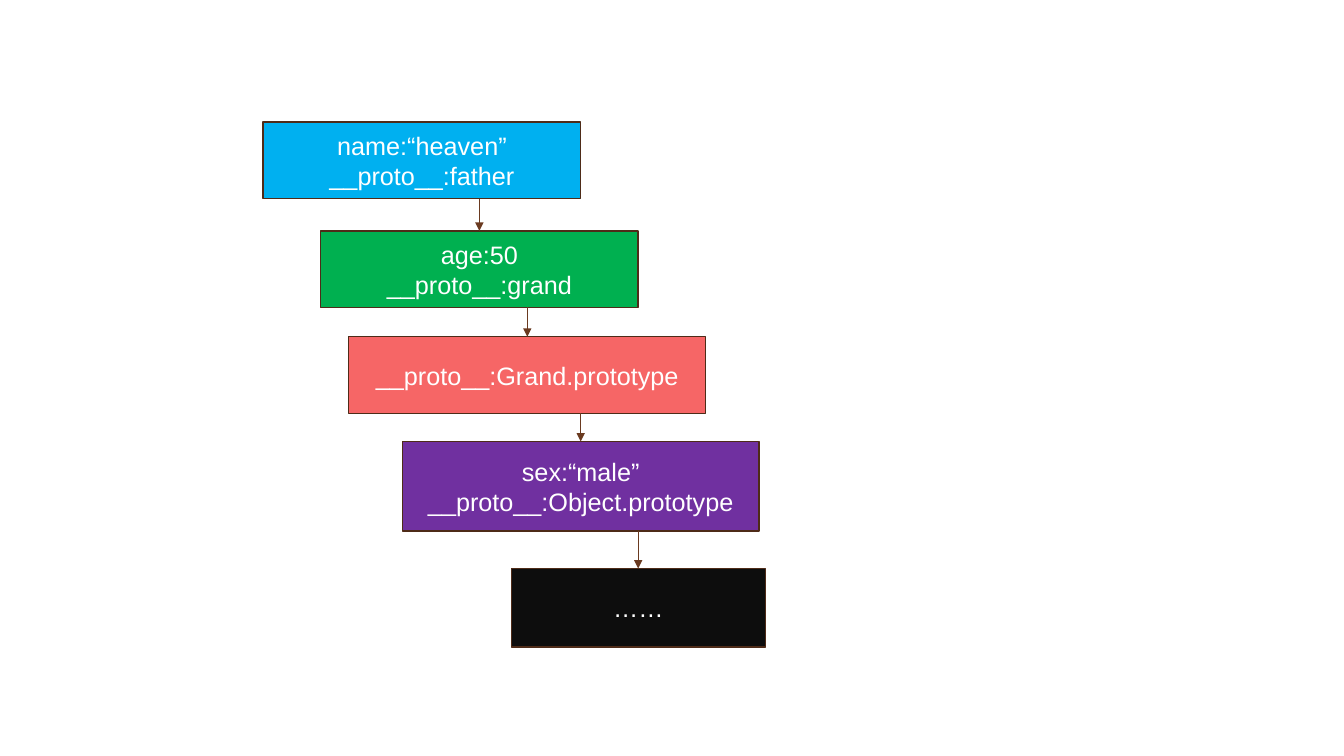
from dataclasses import dataclass

from lxml import etree
from pptx import Presentation
from pptx.dml.color import RGBColor
from pptx.enum.shapes import MSO_CONNECTOR, MSO_SHAPE
from pptx.enum.text import MSO_ANCHOR, PP_ALIGN
from pptx.oxml.ns import qn
from pptx.util import Inches, Pt

RECT = MSO_SHAPE.RECTANGLE
STRAIGHT = MSO_CONNECTOR.STRAIGHT
MIDDLE = MSO_ANCHOR.MIDDLE
CENTER = PP_ALIGN.CENTER


@dataclass(frozen=True)
class Theme:
    """Colours, font and sizes of the slide."""
    font: str = "Arial"
    size: float = 18
    text: str = "FFFFFF"
    border: str = "4E2B18"
    border_width: float = 1
    arrow: str = "6A3A20"
    arrow_width: float = 0.5
    blue: str = "00B0F0"
    green: str = "00B050"
    coral: str = "F66666"
    purple: str = "7030A0"
    black: str = "0D0D0D"


THEME = Theme()

CHAIN = [
    ((0, 0, 3.15, 0.76), THEME.blue, "name:“heaven”\n__proto__:father"),
    ((0.57, 1.08, 3.15, 0.76), THEME.green, "age:50\n__proto__:grand"),
    ((0.85, 2.13, 3.54, 0.76), THEME.coral, "__proto__:Grand.prototype"),
    ((1.38, 3.17, 3.54, 0.89), THEME.purple,
     "sex:“male”\n__proto__:Object.prototype"),
    ((2.46, 4.43, 2.52, 0.78), THEME.black, "……"),
]


def add_object_box(slide, box, fill, text):
    """Draw one object of the chain and return its shape."""
    sp = slide.shapes.add_shape(RECT, *map(Inches, box))
    sp.shadow.inherit = False
    sp.fill.solid()
    sp.fill.fore_color.rgb = RGBColor.from_string(fill)
    sp.line.color.rgb = RGBColor.from_string(THEME.border)
    sp.line.width = Pt(THEME.border_width)
    tf = sp.text_frame
    tf.word_wrap = True
    tf.vertical_anchor = MIDDLE
    tf.text = text
    for p in tf.paragraphs:
        p.alignment = CENTER
        for r in p.runs:
            r.font.name = THEME.font
            r.font.size = Pt(THEME.size)
            r.font.color.rgb = RGBColor.from_string(THEME.text)
    return sp


def add_arrow(slide, upper, lower):
    """Draw an arrow down to the top centre of the lower box."""
    x = lower.left + lower.width // 2
    line = slide.shapes.add_connector(
        STRAIGHT, x, upper.top + upper.height, x, lower.top)
    line.line.color.rgb = RGBColor.from_string(THEME.arrow)
    line.line.width = Pt(THEME.arrow_width)
    ln = line.line._get_or_add_ln()
    etree.SubElement(ln, qn("a:tailEnd"), type="triangle")
    etree.SubElement(ln.getparent(), qn("a:effectLst"))


def add_prototype_chain(slide, left, top):
    """Place the chain of boxes from a corner and link neighbours."""
    boxes = [
        add_object_box(slide, (left + dx, top + dy, w, h), fill, text)
        for (dx, dy, w, h), fill, text in CHAIN
    ]
    for upper, lower in zip(boxes, boxes[1:]):
        add_arrow(slide, upper, lower)


def main():
    """Build and save the slide."""
    prs = Presentation()
    prs.slide_width = Inches(13.33)
    prs.slide_height = Inches(7.5)
    slide = prs.slides.add_slide(prs.slide_layouts[6])
    add_prototype_chain(slide, 2.61, 1.21)
    prs.save("out.pptx")


if __name__ == "__main__":
    main()
